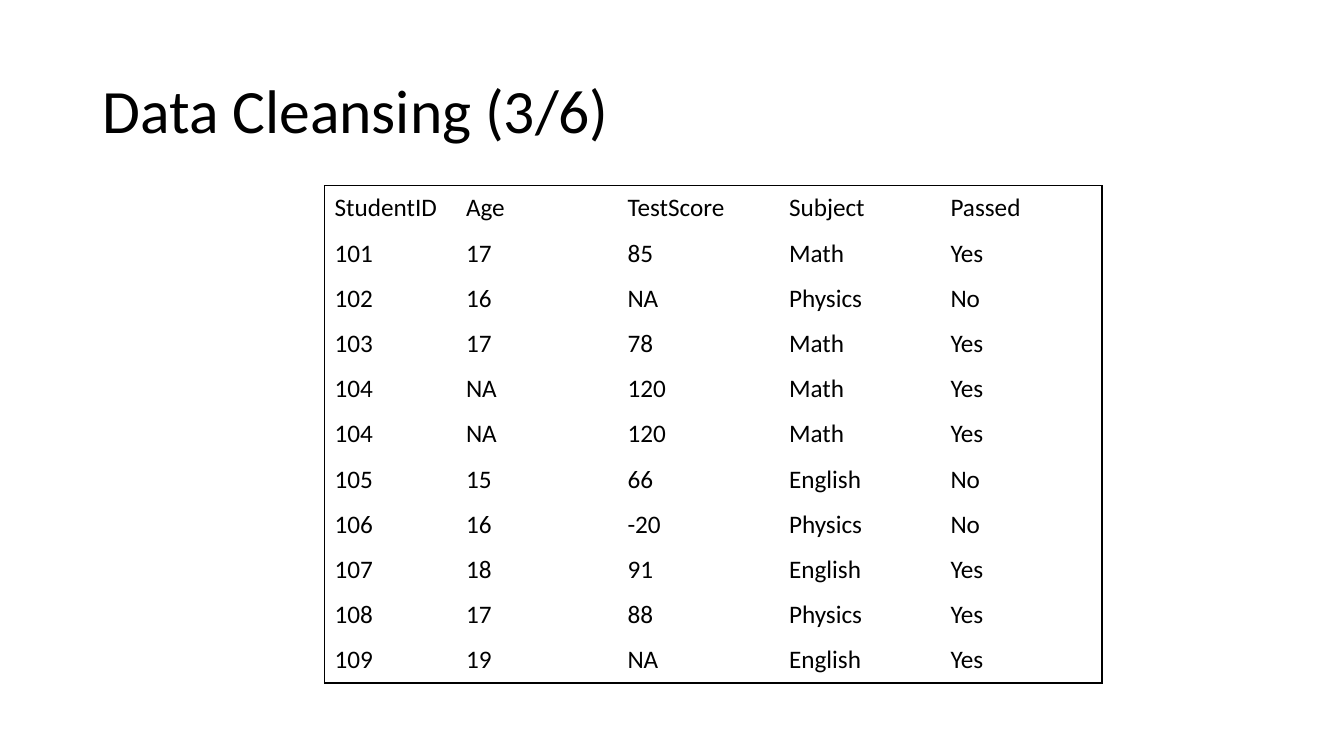
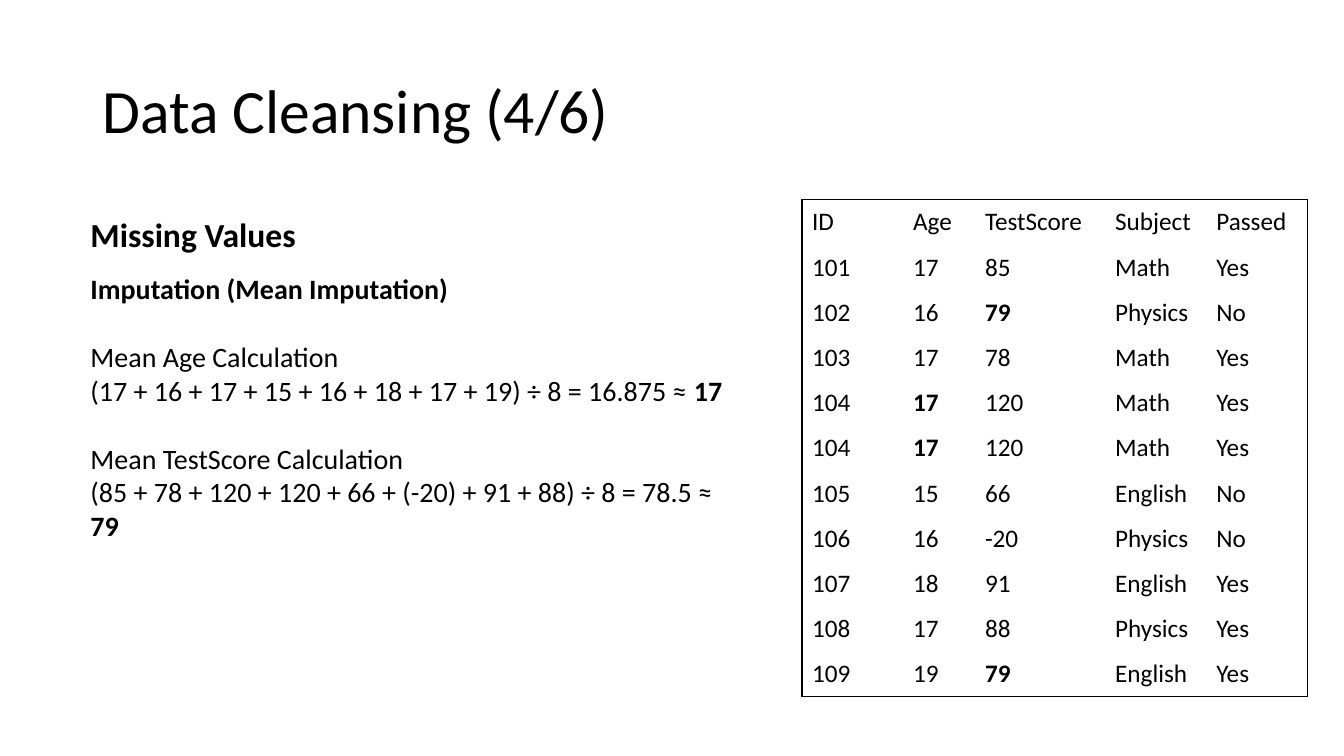
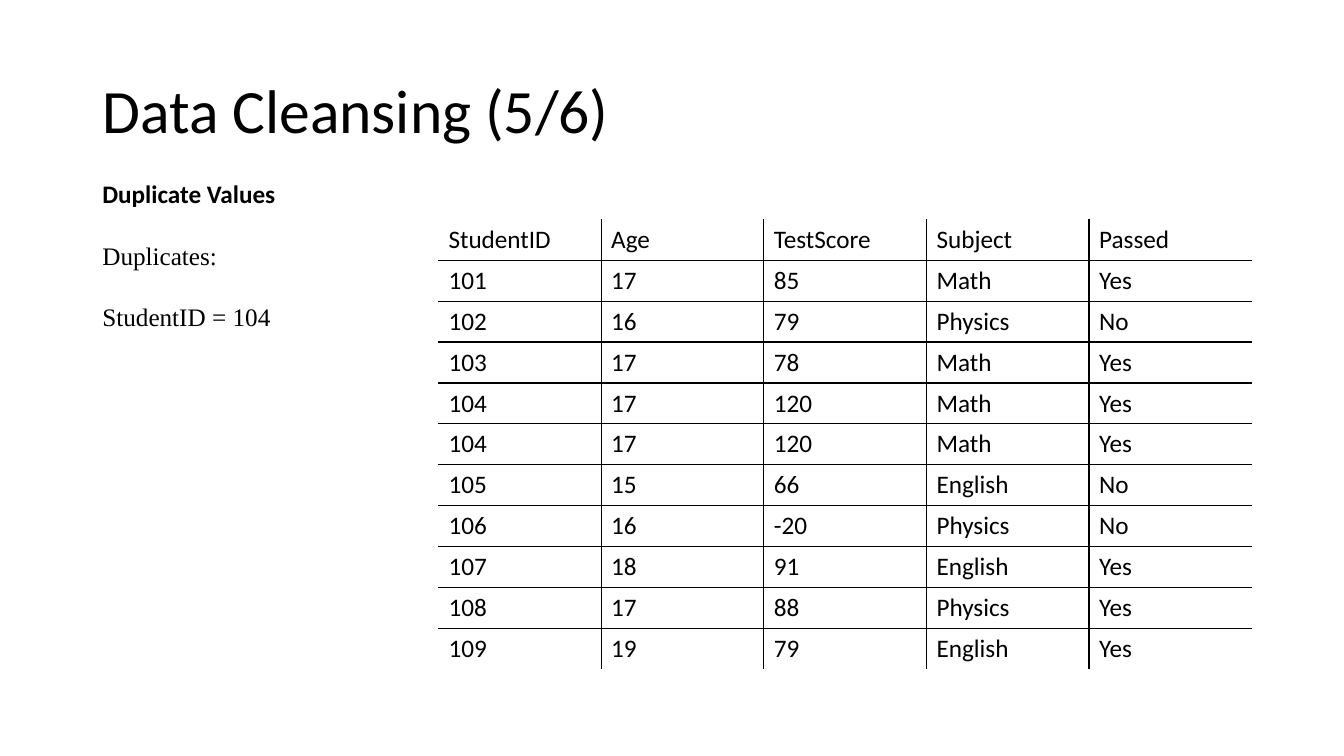
"""Builds three slides on cleansing missing and duplicate student data."""
from lxml import etree
from pptx import Presentation
from pptx import util as u
from pptx.dml.color import RGBColor
from pptx.enum import text
from pptx.oxml.ns import qn

COLOURS = {"ink": "000000"}
BODY_FONT = "Calibri"
SERIF_FONT = "Times New Roman"
NO_GRID_STYLE = "{2D5ABB26-0587-4C30-8999-92F81FD0307C}"

HEADINGS = ["StudentID", "Age", "TestScore", "Subject", "Passed"]
SHORT_HEADINGS = ["ID"] + HEADINGS[1:]
RECORDS = [
    ["101", "17", "85", "Math", "Yes"],
    ["102", "16", "NA", "Physics", "No"],
    ["103", "17", "78", "Math", "Yes"],
    ["104", "NA", "120", "Math", "Yes"],
    ["104", "NA", "120", "Math", "Yes"],
    ["105", "15", "66", "English", "No"],
    ["106", "16", "-20", "Physics", "No"],
    ["107", "18", "91", "English", "Yes"],
    ["108", "17", "88", "Physics", "Yes"],
    ["109", "19", "NA", "English", "Yes"],
]
MEANS = {"Age": "17", "TestScore": "79"}


def impute(records):
    """Replace each missing value by the mean of its column."""
    return [[MEANS[heading] if value == "NA" else value
             for heading, value in zip(HEADINGS, record)]
            for record in records]


def style(font, size, bold=False, face=BODY_FONT):
    """Apply size, weight, face and ink colour to a font."""
    font.size = u.Pt(size)
    font.bold = bold
    font.name = face
    font.color.rgb = RGBColor.from_string(COLOURS["ink"])


def add_text_frame(slide, box, anchor):
    """Add a wrapping text box and return its frame."""
    frame = slide.shapes.add_textbox(*map(u.Cm, box)).text_frame
    frame.word_wrap = True
    frame.vertical_anchor = anchor
    return frame


def add_title_slide(deck, part):
    """Add a blank slide headed with its part of the series."""
    slide = deck.slides.add_slide(deck.slide_layouts[6])
    frame = add_text_frame(slide, (2.33, 1.01, 29.21, 3.68), text.MSO_ANCHOR.MIDDLE)
    heading = frame.paragraphs[0]
    heading.text = f"Data Cleansing ({part}/6)"
    heading.line_spacing = 0.9
    style(heading.runs[0].font, 44)
    return slide


def add_notes(slide, box, anchor, notes):
    """Add paragraphs given as (space before, size, face, [(words, bold)])."""
    frame = add_text_frame(slide, box, anchor)
    for index, (gap, size, face, pieces) in enumerate(notes):
        note = frame.add_paragraph() if index else frame.paragraphs[0]
        if gap:
            note.space_before = u.Pt(gap)
        for words, bold in pieces:
            for line_number, line in enumerate(words.split("\n")):
                if line_number:
                    note.add_line_break()
                run = note.add_run()
                run.text = line
                style(run.font, size, bold, face)


def draw_borders(cell, sides):
    """Rule the sides marked true and clear the others."""
    properties = cell._tc.get_or_add_tcPr()
    for side, ruled in sides.items():
        rule = etree.SubElement(properties, qn(f"a:ln{side}"), w=str(u.Pt(1)))
        if ruled:
            fill = etree.SubElement(rule, qn("a:solidFill"))
            etree.SubElement(fill, qn("a:srgbClr"), val=COLOURS["ink"])
        else:
            etree.SubElement(rule, qn("a:noFill"))


def add_records(slide, corner, widths, row_height, rows, outlined, bold_cells=()):
    """Add a table ruled either around its outline or along its inner grid."""
    last_row, last_column = len(rows) - 1, len(widths) - 1
    table_frame = slide.shapes.add_table(
        len(rows), len(widths), *map(u.Cm, corner),
        u.Cm(sum(widths)), u.Cm(row_height * len(rows)))
    table = table_frame.table
    table.first_row = table.horz_banding = False
    table._tbl.tblPr.find(qn("a:tableStyleId")).text = NO_GRID_STYLE
    for column, width in zip(table.columns, widths):
        column.width = u.Cm(width)
    for r, row in enumerate(rows):
        table.rows[r].height = u.Cm(row_height)
        for c, value in enumerate(row):
            cell = table.cell(r, c)
            cell.text = value
            cell.vertical_anchor = text.MSO_ANCHOR.MIDDLE
            style(cell.text_frame.paragraphs[0].runs[0].font, 18, (r, c) in bold_cells)
            edges = {"L": c == 0, "R": c == last_column,
                     "T": r == 0, "B": r == last_row}
            draw_borders(cell, {side: edge == outlined for side, edge in edges.items()})
            cell.fill.background()


def main():
    """Build the slides and save the deck."""
    deck = Presentation()
    deck.slide_width, deck.slide_height = u.Cm(33.87), u.Cm(19.05)
    complete = impute(RECORDS)
    imputed_cells = {(r, c) for r, record in enumerate(RECORDS, 1)
                     for c, value in enumerate(record) if value == "NA"}

    raw_slide = add_title_slide(deck, 3)
    add_records(raw_slide, (8.18, 4.68), [3.31] + [4.07] * 4, 1.14,
                [HEADINGS] + RECORDS, True)

    missing_slide = add_title_slide(deck, 4)
    add_records(missing_slide, (20.21, 5.03), [2.55, 1.81, 3.28, 2.55, 2.55], 1.14,
                [SHORT_HEADINGS] + complete, True, imputed_cells)
    add_notes(missing_slide, (2.03, 5.26, 17.04, 10.19), text.MSO_ANCHOR.TOP, [
        (0, 24, BODY_FONT, [("Missing Values", True)]),
        (12.8, 20, BODY_FONT, [("Imputation (Mean Imputation)", True)]),
        (24.4, 20, BODY_FONT, [
            ("Mean Age Calculation\n"
             "(17 + 16 + 17 + 15 + 16 + 18 + 17 + 19) ÷ 8 = 16.875 ≈ ", False),
            (MEANS["Age"], True)]),
        (24.4, 20, BODY_FONT, [
            ("Mean TestScore Calculation\n"
             "(85 + 78 + 120 + 120 + 66 + (-20) + 91 + 88) ÷ 8 = 78.5 ≈ ", False),
            (MEANS["TestScore"], True)]),
    ])

    duplicate_slide = add_title_slide(deck, 5)
    add_records(duplicate_slide, (11.05, 5.53), [4.1] * 5, 1.03,
                [HEADINGS] + complete, False)
    add_notes(duplicate_slide, (2.33, 4.37, 7.85, 4.11), text.MSO_ANCHOR.MIDDLE, [
        (0, 18, BODY_FONT, [("Duplicate Values", True)]),
        (22, 18, SERIF_FONT, [("Duplicates:", False)]),
        (22, 18, SERIF_FONT, [("StudentID = 104", False)]),
    ])

    deck.save("out.pptx")


if __name__ == "__main__":
    main()
